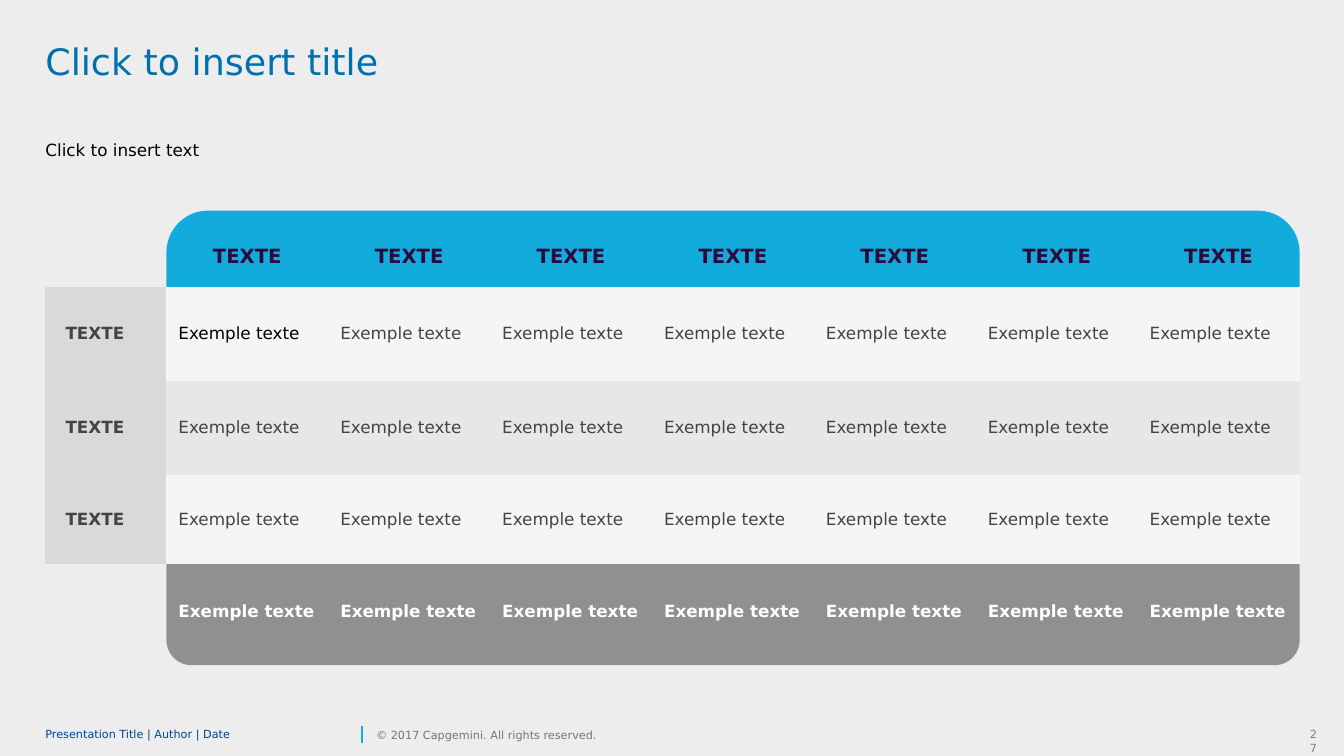
from dataclasses import dataclass
from typing import Optional

from lxml.etree import SubElement
from pptx import Presentation
from pptx.dml.color import RGBColor
from pptx.enum.shapes import MSO_CONNECTOR, MSO_SHAPE
from pptx.enum.text import MSO_ANCHOR, PP_ALIGN
from pptx.oxml.ns import qn
from pptx.util import Inches, Pt

SLIDE_WIDTH, SLIDE_HEIGHT = Inches(13.33), Inches(7.5)
FONT = "DejaVu Sans"
NO_GRID_STYLE = "{2D5ABB26-0587-4C30-8999-92F81FD0307C}"

PAPER = RGBColor(0xED, 0xED, 0xED)
CYAN = RGBColor(0x12, 0xAB, 0xDB)
GREY = RGBColor(0x90, 0x90, 0x90)
LABEL_GREY = RGBColor(0xD9, 0xD9, 0xD9)
LIGHT_BAND = RGBColor(0xF5, 0xF5, 0xF5)
DARK_BAND = RGBColor(0xE6, 0xE7, 0xE7)
BLUE = RGBColor(0x00, 0x70, 0xAD)
NAVY = RGBColor(0x00, 0x45, 0x8D)
PLUM = RGBColor(0x2B, 0x0A, 0x3D)
BLACK = RGBColor(0x00, 0x00, 0x00)
WHITE = RGBColor(0xFF, 0xFF, 0xFF)
BODY_GREY = RGBColor(0x43, 0x43, 0x43)
NOTICE_GREY = RGBColor(0x76, 0x76, 0x76)
PAGE_GREY = RGBColor(0x80, 0x80, 0x80)

# Layout, in percent of the slide's width or height
MARGIN, LABEL_WIDTH, BODY_WIDTH = 3.38, 9.0, 84.32
BODY_LEFT = MARGIN + LABEL_WIDTH
BODY_RIGHT = BODY_LEFT + BODY_WIDTH
TEXT_WIDTH = 89.8
TABLE_TOP = 30.27
CAP_HEIGHT = 16.4
FOOTER_TOP, FOOTER_HEIGHT = 95.6, 3.2
COLUMNS = 7


@dataclass(frozen=True)
class Style:
    size: int
    color: RGBColor
    bold: bool = False
    align: PP_ALIGN = PP_ALIGN.LEFT
    spacing: object = 1.0


@dataclass(frozen=True)
class TextBlock:
    text: str
    left: float
    top: float
    width: float
    height: float
    style: Style
    anchor: MSO_ANCHOR = MSO_ANCHOR.TOP
    inset: float = 0


@dataclass(frozen=True)
class Cap:
    top: float
    rounding: float
    color: RGBColor


@dataclass(frozen=True)
class Row:
    height: float
    label: str
    text: str
    style: Style
    fill: Optional[RGBColor] = None


LINE = Pt(14)
LABEL = Style(12, BODY_GREY, bold=True, spacing=LINE)
HEADING = Style(14, PLUM, bold=True, align=PP_ALIGN.CENTER, spacing=LINE)
BODY = Style(12, BODY_GREY, spacing=LINE)
FIRST_BODY = Style(12, BLACK, spacing=LINE)
TOTAL = Style(12, WHITE, bold=True, spacing=LINE)

CAPS = [Cap(71.6, 0.204, GREY), Cap(27.87, 0.336, CYAN)]
ROWS = [
    Row(7.73, "", "TEXTE", HEADING),
    Row(12.4, "TEXTE", "Exemple texte", BODY, LIGHT_BAND),
    Row(12.4, "TEXTE", "Exemple texte", BODY, DARK_BAND),
    Row(11.87, "TEXTE", "Exemple texte", BODY, LIGHT_BAND),
    Row(12.4, "", "Exemple texte", TOTAL),
]
TEXTS = [
    TextBlock("Click to insert title", MARGIN, 5.87, TEXT_WIDTH, 12.53,
              Style(26, BLUE, spacing=0.9)),
    TextBlock("Click to insert text", MARGIN, 18.53, TEXT_WIDTH, 7.33,
              FIRST_BODY),
    TextBlock("Presentation Title | Author | Date", MARGIN, FOOTER_TOP, 23.18,
              FOOTER_HEIGHT, Style(8, NAVY, spacing=0.85), MSO_ANCHOR.MIDDLE),
    TextBlock("© 2017 Capgemini. All rights reserved.", 27.98, FOOTER_TOP,
              18.23, FOOTER_HEIGHT, Style(8, NOTICE_GREY), MSO_ANCHOR.MIDDLE),
    TextBlock("27", BODY_RIGHT, FOOTER_TOP, 2.03, FOOTER_HEIGHT,
              Style(8, PAGE_GREY, align=PP_ALIGN.RIGHT), inset=0.1),
]


def across(percent: float) -> int:
    return round(SLIDE_WIDTH * percent / 100)


def down(percent: float) -> int:
    return round(SLIDE_HEIGHT * percent / 100)


def apply(target, formats: dict) -> None:
    for attribute, value in formats.items():
        setattr(target, attribute, value)


def write(paragraph, text: str, style: Style) -> None:
    apply(paragraph, {"alignment": style.align, "line_spacing": style.spacing})
    run = paragraph.add_run()
    run.text = text
    apply(run.font, {"name": FONT, "size": Pt(style.size), "bold": style.bold})
    run.font.color.rgb = style.color


def draw_text(slide, block: TextBlock) -> None:
    box = slide.shapes.add_textbox(across(block.left), down(block.top),
                                   across(block.width), down(block.height))
    side, edge = Inches(block.inset), Inches(block.inset / 2)
    apply(box.text_frame, {
        "word_wrap": True, "vertical_anchor": block.anchor,
        "margin_left": side, "margin_right": side,
        "margin_top": edge, "margin_bottom": edge,
    })
    write(box.text_frame.paragraphs[0], block.text, block.style)


def draw_cap(slide, cap: Cap) -> None:
    panel = slide.shapes.add_shape(
        MSO_SHAPE.ROUNDED_RECTANGLE, across(BODY_LEFT), down(cap.top),
        across(BODY_WIDTH), down(CAP_HEIGHT))
    panel.adjustments[0] = cap.rounding
    panel.shadow.inherit = False
    panel.fill.solid()
    panel.fill.fore_color.rgb = cap.color
    panel.line.fill.background()


def fill_cell(cell, text: str, style: Style, fill: Optional[RGBColor],
              indent: float = 0.12) -> None:
    apply(cell, {
        "vertical_anchor": MSO_ANCHOR.MIDDLE,
        "margin_left": Inches(indent), "margin_right": Inches(0.12),
        "margin_top": 0, "margin_bottom": 0,
    })
    if fill is None:
        cell.fill.background()
    else:
        cell.fill.solid()
        cell.fill.fore_color.rgb = fill
    if text:
        write(cell.text_frame.paragraphs[0], text, style)


def draw_table(slide, rows: list[Row]) -> None:
    table = slide.shapes.add_table(
        len(rows), COLUMNS + 1, across(MARGIN), down(TABLE_TOP),
        across(LABEL_WIDTH + BODY_WIDTH),
        down(sum(row.height for row in rows))).table
    apply(table, {"first_row": False, "horz_banding": False})
    table._tbl.tblPr.find(qn("a:tableStyleId")).text = NO_GRID_STYLE
    widths = [LABEL_WIDTH] + [BODY_WIDTH / COLUMNS] * COLUMNS
    for column, width in zip(table.columns, widths):
        column.width = across(width)
    for index, row in enumerate(rows):
        table.rows[index].height = down(row.height)
        fill_cell(table.cell(index, 0), row.label, LABEL,
                  LABEL_GREY if row.label else None, indent=0.2)
        for column in range(1, COLUMNS + 1):
            style = FIRST_BODY if (index, column) == (1, 1) else row.style
            fill_cell(table.cell(index, column), row.text, style, row.fill)


def draw_footer_rule(slide) -> None:
    rule = slide.shapes.add_connector(
        MSO_CONNECTOR.STRAIGHT, across(26.93), down(98.27),
        across(26.93), down(96))
    rule.line.color.rgb = CYAN
    rule.line.width = Pt(1)
    SubElement(rule._element.spPr, qn("a:effectLst"))


def main() -> None:
    deck = Presentation()
    apply(deck, {"slide_width": SLIDE_WIDTH, "slide_height": SLIDE_HEIGHT})
    slide = deck.slides.add_slide(deck.slide_layouts[6])
    slide.background.fill.solid()
    slide.background.fill.fore_color.rgb = PAPER

    # Rounded ends, then the table over them
    for cap in CAPS:
        draw_cap(slide, cap)
    draw_table(slide, ROWS)

    # Headings and footer
    for block in TEXTS:
        draw_text(slide, block)
    draw_footer_rule(slide)
    deck.save("out.pptx")


if __name__ == "__main__":
    main()
